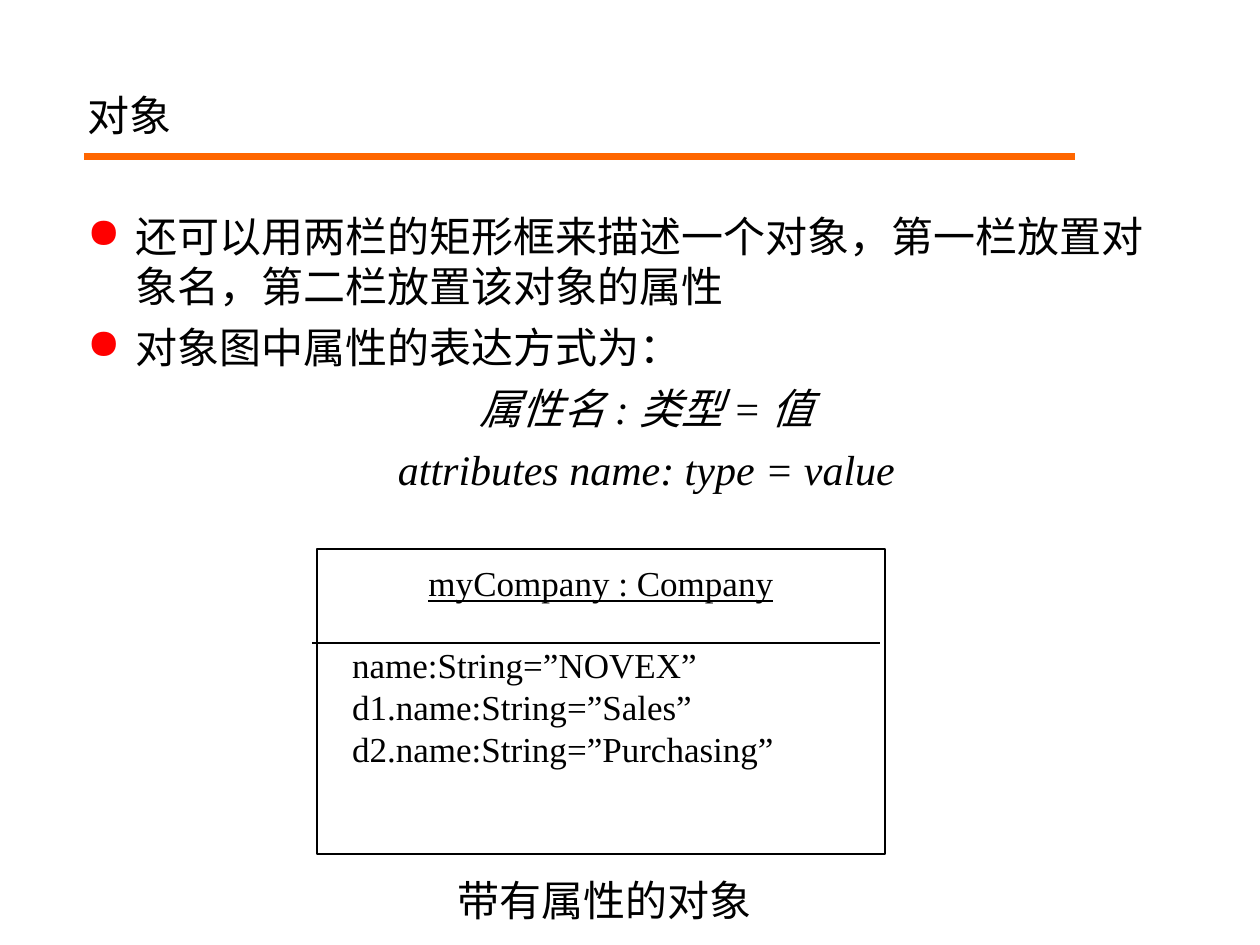
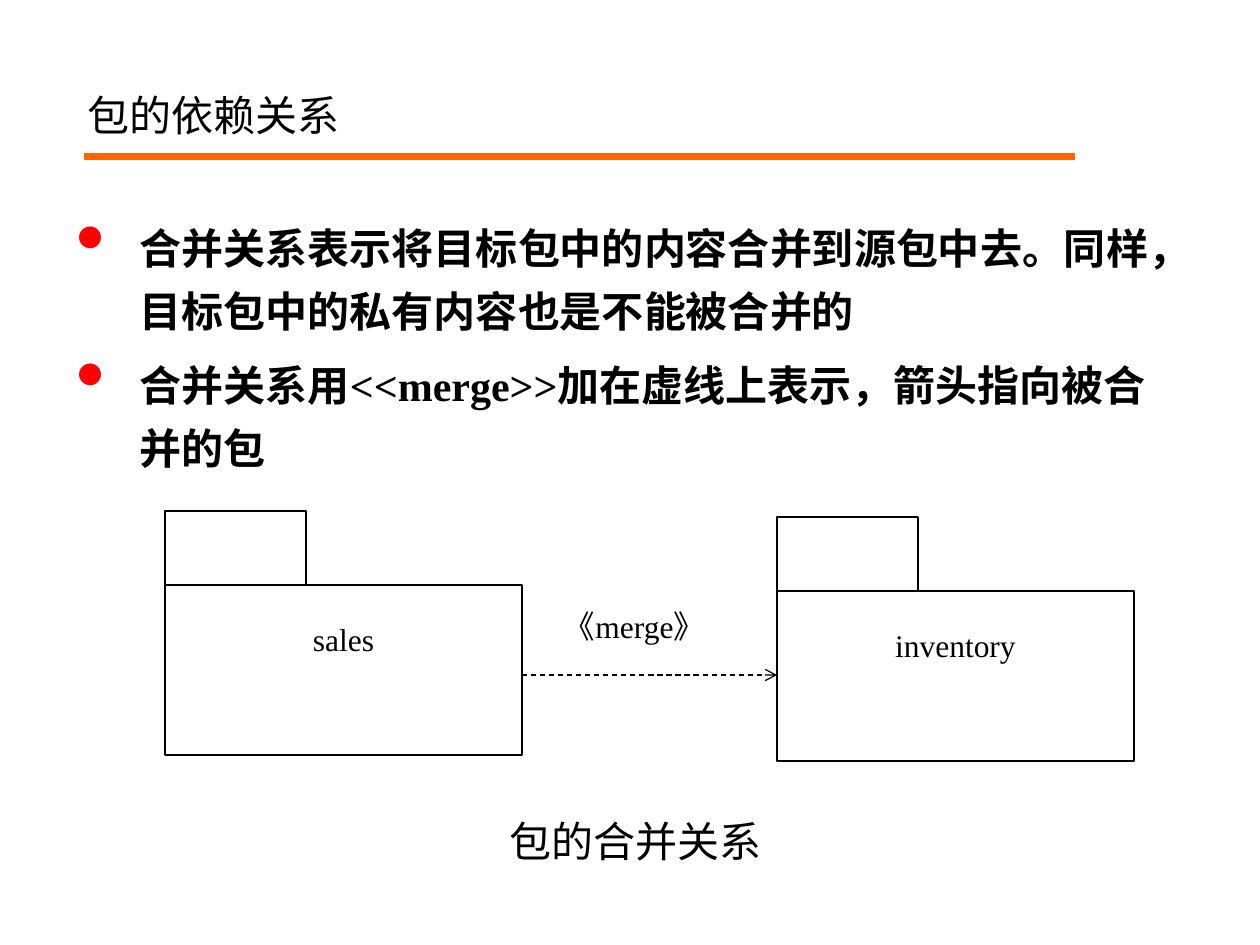
from lxml import etree
from pptx import Presentation
from pptx.dml.color import RGBColor
from pptx.enum.dml import MSO_LINE
from pptx.enum.shapes import MSO_CONNECTOR, MSO_SHAPE
from pptx.enum.text import MSO_ANCHOR, PP_ALIGN
from pptx.oxml.ns import qn
from pptx.util import Emu, Pt

LEFT, CENTER = PP_ALIGN.LEFT, PP_ALIGN.CENTER
TOP, MIDDLE = MSO_ANCHOR.TOP, MSO_ANCHOR.MIDDLE
RECT, STRAIGHT, DASH = MSO_SHAPE.RECTANGLE, MSO_CONNECTOR.STRAIGHT, MSO_LINE.DASH

BLACK, WHITE, ORANGE, RED = "000000", "FFFFFF", "FF6600", "FF0000"
SERIF, CJK = "Times New Roman", "Noto Sans CJK SC"
PAD = (13, 6, 13, 6)
TITLE_BOX = (75, 36, 1071, 157)
RULE = (84, 157, 1075, 157)

DISC = dict(char="●", size=100, hang=48)
BIG_DOT = dict(char="•", size=200, hang=63)

OBJECT = dict(
    title="对象",
    body_box=(74, 204, 1103, 297),
    points=["还可以用两栏的矩形框来描述一个对象，第一栏放置对象名，第二栏放置该对象的属性",
            "对象图中属性的表达方式为："],
    formulas=["属性名 : 类型 = 值", "attributes name: type = value"],
    name="myCompany : Company",
    attributes=["name:String=”NOVEX”", "d1.name:String=”Sales”", "d2.name:String=”Purchasing”"],
    caption="带有属性的对象",
    caption_box=(297, 869, 615, 63),
)
PACKAGE = dict(
    title="包的依赖关系",
    body_box=(64, 204, 1113, 278),
    points=["合并关系表示将目标包中的内容合并到源包中去。同样，目标包中的私有内容也是不能被合并的",
            "合并关系用<<merge>>加在虚线上表示，箭头指向被合并的包"],
    packages=[("sales", 165, 585), ("inventory", 777, 591)],
    stereotype="《merge》",
    caption="包的合并关系",
    caption_box=(417, 810, 437, 63),
)
CLASS_BOX = (317, 549, 568, 305)
DIVIDER_Y = 643
BODY_W, BODY_H = 357, 170
TAB_W, TAB_H = 141, 74
ARROW_Y = 675


def px(v):
    return Emu(round(v * 914400 / 126))


def rgb(h):
    return RGBColor.from_string(h)


def child(parent, tag, **attrs):
    return etree.SubElement(parent, qn(tag), attrs)


def frame(sp, pad=PAD, anchor=TOP):
    tf = sp.text_frame
    tf.word_wrap = True
    tf.vertical_anchor = anchor
    for side, v in zip(("left", "top", "right", "bottom"), pad):
        setattr(tf, "margin_" + side, px(v))
    return tf


def write(tf, lines, size=24, font=SERIF, align=LEFT, before=0, spacing=None,
          bullet=None, indent=0, **style):
    for line in lines:
        p = tf.paragraphs[0]
        if p.runs:
            p = tf.add_paragraph()
        p.alignment, p.space_before = align, Pt(before)
        if spacing:
            p.line_spacing = spacing
        pPr = p._p.get_or_add_pPr()
        pPr.set("marL", str(px(bullet["hang"] if bullet else indent)))
        if bullet:
            pPr.set("indent", str(-px(bullet["hang"])))
            child(child(pPr, "a:buClr"), "a:srgbClr", val=RED)
            child(pPr, "a:buSzPct", val=str(bullet["size"] * 1000))
            child(pPr, "a:buChar", char=bullet["char"])
        r = p.add_run()
        r.text = line
        for key, v in dict(name=font, size=Pt(size), **style).items():
            setattr(r.font, key, v)
        r.font.color.rgb = rgb(BLACK)
        child(r._r.get_or_add_rPr(), "a:ea", typeface=CJK)


def text(slide, box, lines, pad=PAD, anchor=TOP, **fmt):
    tf = frame(slide.shapes.add_textbox(*map(px, box)), pad, anchor)
    write(tf, lines, **fmt)
    return tf


def rect(slide, box, label=None, pad=PAD, **fmt):
    sp = slide.shapes.add_shape(RECT, *map(px, box))
    sp.shadow.inherit = False
    sp.fill.solid()
    sp.fill.fore_color.rgb = rgb(WHITE)
    sp.line.color.rgb = rgb(BLACK)
    sp.line.width = Pt(0.75)
    if label:
        write(frame(sp, pad), [label], align=CENTER, **fmt)


def line(slide, ends, color=BLACK, width=0.75, arrow=False):
    c = slide.shapes.add_connector(STRAIGHT, *map(px, ends))
    c.line.color.rgb = rgb(color)
    c.line.width = Pt(width)
    if arrow:
        c.line.dash_style = DASH
        child(c.line._get_or_add_ln(), "a:tailEnd", type="arrow")
    child(c._element.spPr, "a:effectLst")


def base_slide(prs, data, **point_fmt):
    slide = prs.slides.add_slide(prs.slide_layouts[6])
    line(slide, RULE, ORANGE, 4)
    text(slide, TITLE_BOX, [data["title"]], anchor=MIDDLE)
    body = text(slide, data["body_box"], data["points"], before=6, **point_fmt)
    text(slide, data["caption_box"], [data["caption"]], font=CJK, align=CENTER, before=15)
    return slide, body


def object_slide(prs):
    slide, body = base_slide(prs, OBJECT, bullet=DISC)
    write(body, OBJECT["formulas"], align=CENTER, before=6, indent=42, italic=True)
    x, y, w, h = CLASS_BOX
    rect(slide, CLASS_BOX, OBJECT["name"], (0, 13, 0, 0), size=20, underline=True)
    line(slide, (x - 5, DIVIDER_Y, x - 5 + w, DIVIDER_Y))
    text(slide, (x + 35, DIVIDER_Y, 432, y + h - DIVIDER_Y), OBJECT["attributes"],
         (0, 0, 0, 0), size=20)


def package_slide(prs):
    slide, _ = base_slide(prs, PACKAGE, bullet=BIG_DOT, spacing=1.25, bold=True)
    for name, x, y in PACKAGE["packages"]:
        rect(slide, (x, y, BODY_W, BODY_H), name, (13, 35, 13, 6), size=18)
        rect(slide, (x, y - TAB_H, TAB_W, TAB_H))
    (_, source_x, _), (_, target_x, _) = PACKAGE["packages"]
    line(slide, (source_x + BODY_W, ARROW_Y, target_x, ARROW_Y), arrow=True)
    text(slide, (551, 601, 198, 73), [PACKAGE["stereotype"]], size=18)


def main():
    prs = Presentation()
    prs.slide_width, prs.slide_height = px(1260), px(945)
    object_slide(prs)
    package_slide(prs)
    prs.save("out.pptx")


if __name__ == "__main__":
    main()
